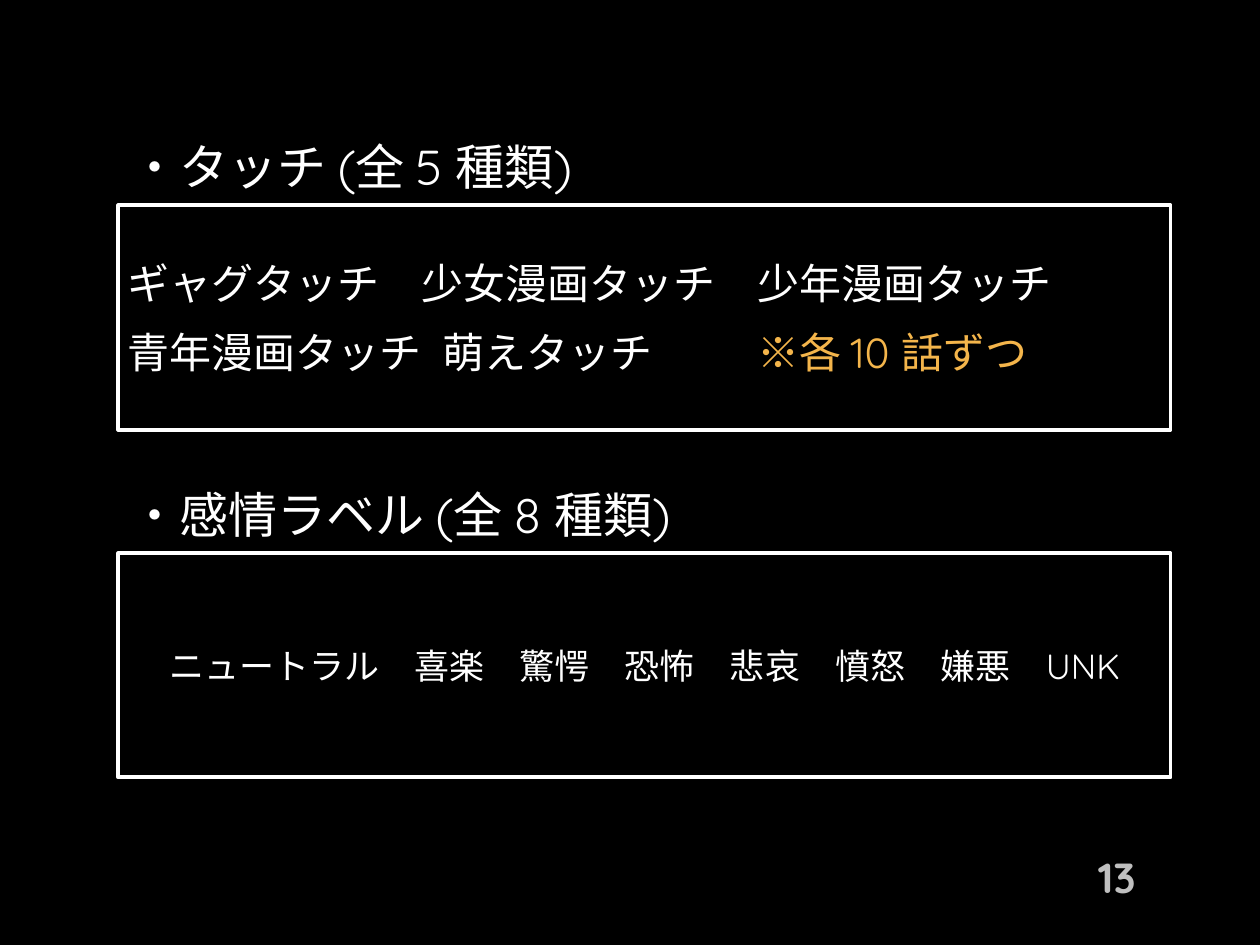
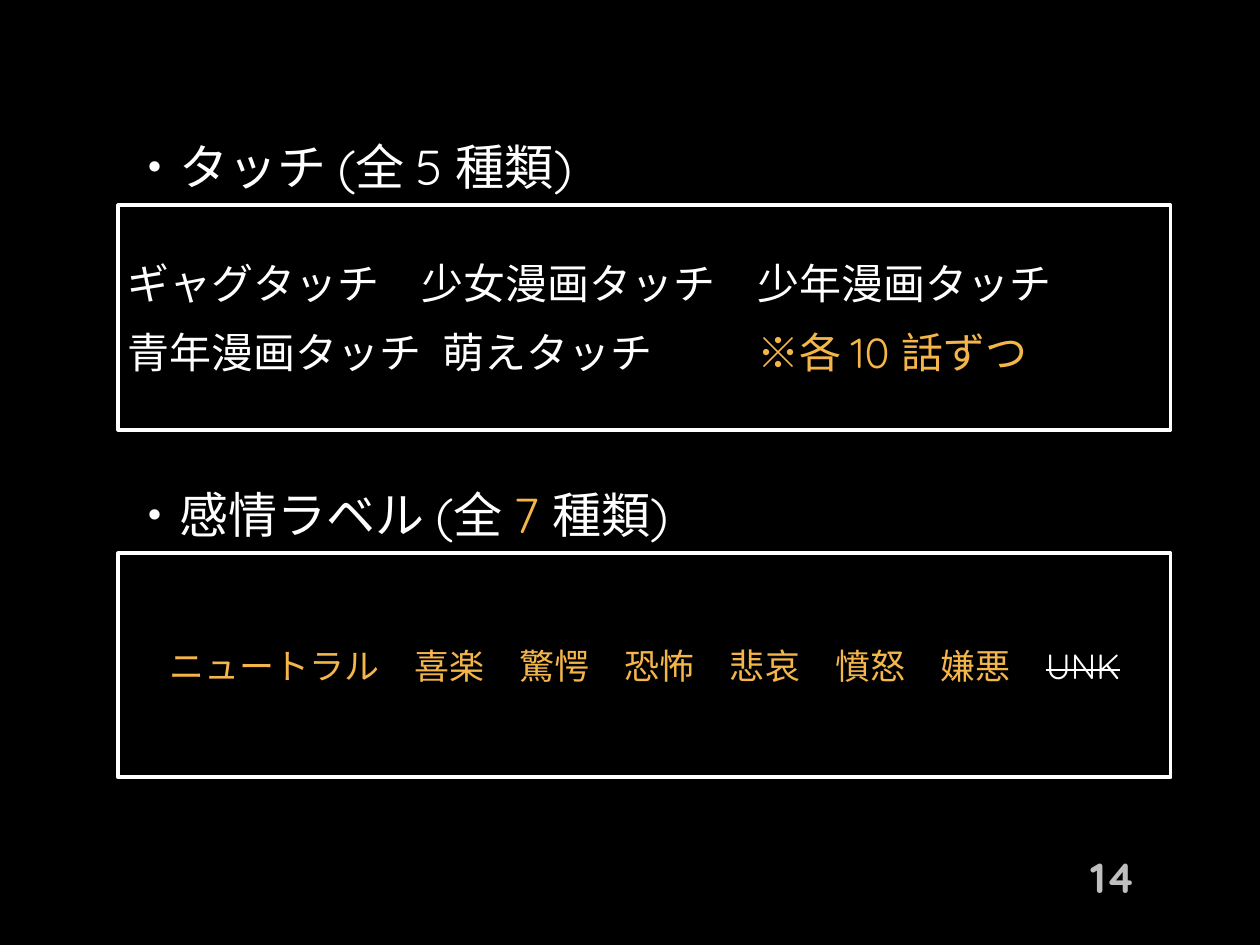
"""Build two slides that list the drawing styles and the emotion labels."""
from dataclasses import dataclass

from lxml import etree
from pptx import Presentation
from pptx.dml.color import RGBColor
from pptx.enum import shapes, text
from pptx.oxml import ns
from pptx.util import Inches, Pt


@dataclass(frozen=True)
class Theme:
    font: str = "Quicksand"
    back: RGBColor = RGBColor(0x00, 0x00, 0x00)
    white: RGBColor = RGBColor(0xFF, 0xFF, 0xFF)
    accent: RGBColor = RGBColor(0xF4, 0xB5, 0x4B)
    grey: RGBColor = RGBColor(0xBF, 0xBF, 0xBF)
    heading: int = 28
    styles: int = 24
    labels: int = 20
    number: int = 24
    border: float = 2.25


THEME = Theme()


@dataclass(frozen=True)
class Span:
    text: str
    color: RGBColor = THEME.white
    strike: bool = False


@dataclass(frozen=True)
class Section:
    top: float
    heading: list[Span]
    lines: list[list[Span]]
    size: int
    align: text.PP_ALIGN = text.PP_ALIGN.LEFT
    inset: tuple[float, float] = (0.1, 0.05)
    tabs: tuple[float, ...] = ()


@dataclass(frozen=True)
class Page:
    number: int
    sections: list[Section]


LEFT = 0.94
HEADING_W, HEADING_H = 8.12, 0.62
BOX_W, BOX_H = 8.35, 1.78

STYLES = Section(
    top=1.01,
    heading=[Span("・タッチ (全 5 種類)")],
    lines=[
        [Span("ギャグタッチ　少女漫画タッチ　少年漫画タッチ")],
        [Span("青年漫画タッチ\t萌えタッチ\t\t"), Span("※各 10 話ずつ", THEME.accent)],
    ],
    size=THEME.styles,
    inset=(0.07, 0.04),
    tabs=(2.5, 4.5, 5.0),
)
EMOTIONS = "ニュートラル　喜楽　驚愕　恐怖　悲哀　憤怒　嫌悪　"


def emotion_section(heading: list[Span], line: list[Span]) -> Section:
    """Return the emotion label section with the given wording."""
    return Section(3.77, heading, [line], THEME.labels, text.PP_ALIGN.CENTER)


PAGES = [
    Page(13, [STYLES, emotion_section(
        [Span("・感情ラベル (全 8 種類)")],
        [Span(EMOTIONS + "UNK")])]),
    Page(14, [STYLES, emotion_section(
        [Span("・感情ラベル (全 "), Span("7 ", THEME.accent), Span("種類)")],
        [Span(EMOTIONS, THEME.accent), Span("UNK", strike=True)])]),
]


def add_tabs(p, stops: tuple[float, ...]) -> None:
    """Add left tab stops, given in inches, to a paragraph."""
    tabs = etree.SubElement(p._p.get_or_add_pPr(), ns.qn("a:tabLst"))
    for stop in stops:
        etree.SubElement(tabs, ns.qn("a:tab"), pos=str(Inches(stop)), algn="l")


def write_line(p, spans: list[Span], size: int, align: text.PP_ALIGN,
               bold: bool = False) -> None:
    """Write spans into a paragraph with one font and size."""
    p.alignment = align
    p.font.name = THEME.font
    p.font.size = Pt(size)
    p.font.bold = bold
    shared = len({span.color for span in spans}) == 1
    if shared:
        p.font.color.rgb = spans[0].color
    for span in spans:
        r = p.add_run()
        r.text = span.text
        if not shared:
            r.font.color.rgb = span.color
        if span.strike:
            r._r.get_or_add_rPr().set("strike", "sngStrike")


def add_label(slide, left: float, top: float, width: float, height: float,
              spans: list[Span], size: int,
              align: text.PP_ALIGN = text.PP_ALIGN.LEFT, bold: bool = False) -> None:
    """Add a one-line text box."""
    tf = slide.shapes.add_textbox(
        Inches(left), Inches(top), Inches(width), Inches(height)).text_frame
    tf.word_wrap = True
    tf.vertical_anchor = text.MSO_ANCHOR.MIDDLE
    write_line(tf.paragraphs[0], spans, size, align, bold)


def add_section(slide, section: Section) -> None:
    """Add a heading and the outlined box below it."""
    add_label(slide, LEFT, section.top, HEADING_W, HEADING_H,
              section.heading, THEME.heading)
    sp = slide.shapes.add_shape(
        shapes.MSO_SHAPE.RECTANGLE, Inches(LEFT), Inches(section.top + HEADING_H),
        Inches(BOX_W), Inches(BOX_H))
    sp.shadow.inherit = False
    sp.fill.background()
    sp.line.color.rgb = THEME.white
    sp.line.width = Pt(THEME.border)
    tf = sp.text_frame
    tf.word_wrap = True
    tf.vertical_anchor = text.MSO_ANCHOR.MIDDLE
    side, end = section.inset
    tf.margin_left = tf.margin_right = Inches(side)
    tf.margin_top = tf.margin_bottom = Inches(end)
    for i, spans in enumerate(section.lines):
        p = tf.add_paragraph() if i else tf.paragraphs[0]
        if section.tabs:
            add_tabs(p, section.tabs)
        if i:
            p.space_before = Pt(0.2 * section.size)
        p.space_after = Pt(6)
        write_line(p, spans, section.size, section.align)


def add_page(prs, page: Page) -> None:
    """Add one slide with its sections and page number."""
    slide = prs.slides.add_slide(prs.slide_layouts[6])
    slide.background.fill.solid()
    slide.background.fill.fore_color.rgb = THEME.back
    for section in page.sections:
        add_section(slide, section)
    add_label(slide, 7.81, 6.76, 1.3, 0.4, [Span(str(page.number), THEME.grey)],
              THEME.number, text.PP_ALIGN.RIGHT, bold=True)


def main() -> None:
    """Build and save the presentation."""
    prs = Presentation()
    prs.slide_width, prs.slide_height = Inches(10), Inches(7.5)
    for page in PAGES:
        add_page(prs, page)
    prs.save("out.pptx")


if __name__ == "__main__":
    main()
